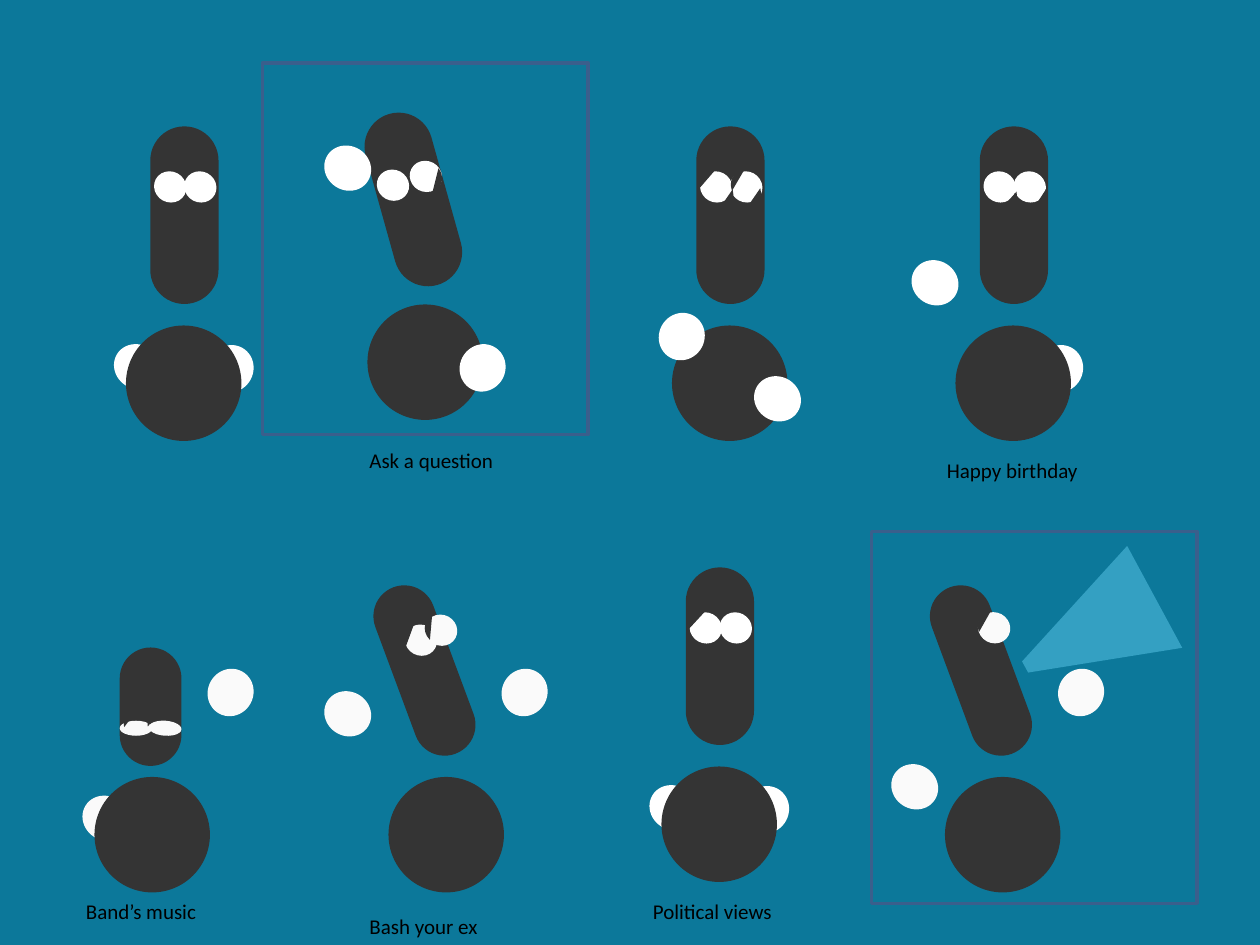
from dataclasses import dataclass

from pptx import Presentation
from pptx.dml.color import RGBColor
from pptx.enum.shapes import MSO_SHAPE
from pptx.enum.text import MSO_AUTO_SIZE
from pptx.util import Pt

COLORS = {
    "background": "0C789A",
    "dark": "343434",
    "white": "FFFFFF",
    "pale": "FAFAFA",
    "beam": "34A0C2",
    "frame": "3A5F8C",
    "label": "000000",
}
BODY_SIZE = (66, 66)
LID_SIZE = (18, 18)
LID_ANGLES = (27, 133.46)
ADJUSTMENT_PER_DEGREE = 0.6
HANDS = {"left": ((27.4, 25.2), 32.7), "right": ((26, 27.4), 208.2)}
LEFT_REST = ("left", -7.2, 11)
RIGHT_REST = ("right", 46.8, 11)
RIGHT_RAISED = ("right", 64.8, -62)
LEANING_HEAD = {"head": (2.9, -111.6), "head_size": (35.3, 101.5), "tilt": 339.6}
FRAME_SIZE = (186, 212.4)
LABEL_SIZE = (96, 21.6)


@dataclass
class Figure:
    body: tuple
    head: tuple = (13.9, -113.8)
    head_size: tuple = (39, 101.5)
    tilt: float = 0
    eyes: tuple = ((15.9, -88, 208.2), (33.1, -88, 208.2))
    eye_size: tuple = (18.7, 17.6)
    lids: tuple = ()
    back_hands: tuple = ()
    front_hands: tuple = ()
    light: str = "white"


FIGURES = [
    Figure((72, 186), back_hands=(RIGHT_REST, LEFT_REST)),
    Figure(
        (210, 174), head=(6.7, -110.8), tilt=344.4,
        eyes=((5.2, -77, 208.2), (24, -82, 208.2)),
        lids=((24.6, -81.2, 293.8), (22.5, -87, 132.5)),
        front_hands=(("right", 52.8, 22.5), ("left", -25, -90.5)),
    ),
    Figure(
        (384, 186),
        lids=((17.1, -83.8, 314.3), (33.6, -89.5, 130.1),
              (15.6, -89.5, 140.6), (32.9, -84.5, 314.3)),
        front_hands=(("right", -7.4, -7.4), ("left", 46.6, 29.3)),
    ),
    Figure(
        (546, 186),
        lids=((17.1, -83.8, 321.9), (34.3, -83.8, 312.8)),
        back_hands=(RIGHT_REST, ("left", -25.4, -37)),
    ),
    Figure(
        (54, 444), head=(14.4, -74), head_size=(35.3, 67.7),
        eyes=((14.4, -32.2, 180), (31, -32.2, 184.1)), eye_size=(18.7, 8.6),
        lids=((16.6, -40.1, 136.5), (30.2, -40.1, 138.7)),
        back_hands=(LEFT_REST,), front_hands=(RIGHT_RAISED,), light="pale",
    ),
    Figure(
        (222, 444), **LEANING_HEAD,
        eyes=((9.2, -87, 208.2), (20.7, -92.7, 208.2)),
        lids=((8.4, -88.4, 119.9), (20.7, -94.1, 104.8)),
        back_hands=(("left", -37, -48.7),), front_hands=(RIGHT_RAISED,),
        light="pale",
    ),
    Figure(
        (378, 438),
        lids=((15.1, -88.8, 142.5), (33.8, -94.5, 155.6)),
        back_hands=(RIGHT_REST, LEFT_REST),
    ),
    Figure(
        (540, 444), **LEANING_HEAD,
        eyes=((18.7, -94.1, 208.2),), lids=((18.7, -95.6, 129.2),),
        back_hands=(("left", -31, -7),), front_hands=(RIGHT_RAISED,),
        light="pale",
    ),
]
LABELS = [
    ("Ask a question", 204, 252),
    ("Political views", 366, 510),
    ("Happy birthday", 534, 258),
    ("Bash your ex", 204, 518.4),
    ("Band’s music", 42, 510),
]
FRAMES = [(498, 303.8), (150, 36)]


def color(name):
    return RGBColor.from_string(COLORS[name])


def add_solid(slide, preset, position, size, fill, rotation=0):
    solid = slide.shapes.add_shape(preset, *map(Pt, position + size))
    solid.shadow.inherit = False
    solid.fill.solid()
    solid.fill.fore_color.rgb = color(fill)
    solid.line.fill.background()
    solid.rotation = rotation
    return solid


def add_hands(slide, figure, hands):
    x, y = figure.body
    for side, dx, dy in hands:
        size, rotation = HANDS[side]
        add_solid(slide, MSO_SHAPE.OVAL, (x + dx, y + dy), size,
                  figure.light, rotation)


def add_lid(slide, position, rotation):
    lid = add_solid(slide, MSO_SHAPE.CHORD, position, LID_SIZE, "dark", rotation)
    for index, angle in enumerate(LID_ANGLES):
        lid.adjustments[index] = angle * ADJUSTMENT_PER_DEGREE


def add_figure(slide, figure):
    x, y = figure.body
    add_hands(slide, figure, figure.back_hands)
    head_position = (x + figure.head[0], y + figure.head[1])
    head = add_solid(slide, MSO_SHAPE.ROUNDED_RECTANGLE, head_position,
                     figure.head_size, "dark", figure.tilt)
    head.adjustments[0] = 0.5
    add_solid(slide, MSO_SHAPE.OVAL, figure.body, BODY_SIZE, "dark")
    for dx, dy, rotation in figure.eyes:
        add_solid(slide, MSO_SHAPE.OVAL, (x + dx, y + dy), figure.eye_size,
                  figure.light, rotation)
    for dx, dy, rotation in figure.lids:
        add_lid(slide, (x + dx, y + dy), rotation)
    add_hands(slide, figure, figure.front_hands)


def add_beam(slide):
    beam = add_solid(slide, MSO_SHAPE.TRAPEZOID, (589.7, 319), (66.2, 84.2),
                     "beam", 241.6)
    beam.adjustments[0] = 0.445


def add_label(slide, wording, x, y):
    label = slide.shapes.add_textbox(*map(Pt, (x, y) + LABEL_SIZE)).text_frame
    label.word_wrap = True
    label.auto_size = MSO_AUTO_SIZE.SHAPE_TO_FIT_TEXT
    label.text = wording
    font = label.paragraphs[0].font
    font.name = "Calibri"
    font.size = Pt(12)
    font.color.rgb = color("label")


def add_frame(slide, position):
    frame = slide.shapes.add_shape(MSO_SHAPE.RECTANGLE,
                                   *map(Pt, position + FRAME_SIZE))
    frame.shadow.inherit = False
    frame.fill.background()
    frame.line.color.rgb = color("frame")
    frame.line.width = Pt(2)


def main():
    deck = Presentation()
    deck.slide_width, deck.slide_height = Pt(720), Pt(540)
    slide = deck.slides.add_slide(deck.slide_layouts[6])
    slide.background.fill.solid()
    slide.background.fill.fore_color.rgb = color("background")
    add_beam(slide)
    for figure in FIGURES:
        add_figure(slide, figure)
    for label in LABELS:
        add_label(slide, *label)
    for position in FRAMES:
        add_frame(slide, position)
    deck.save("out.pptx")


if __name__ == "__main__":
    main()
